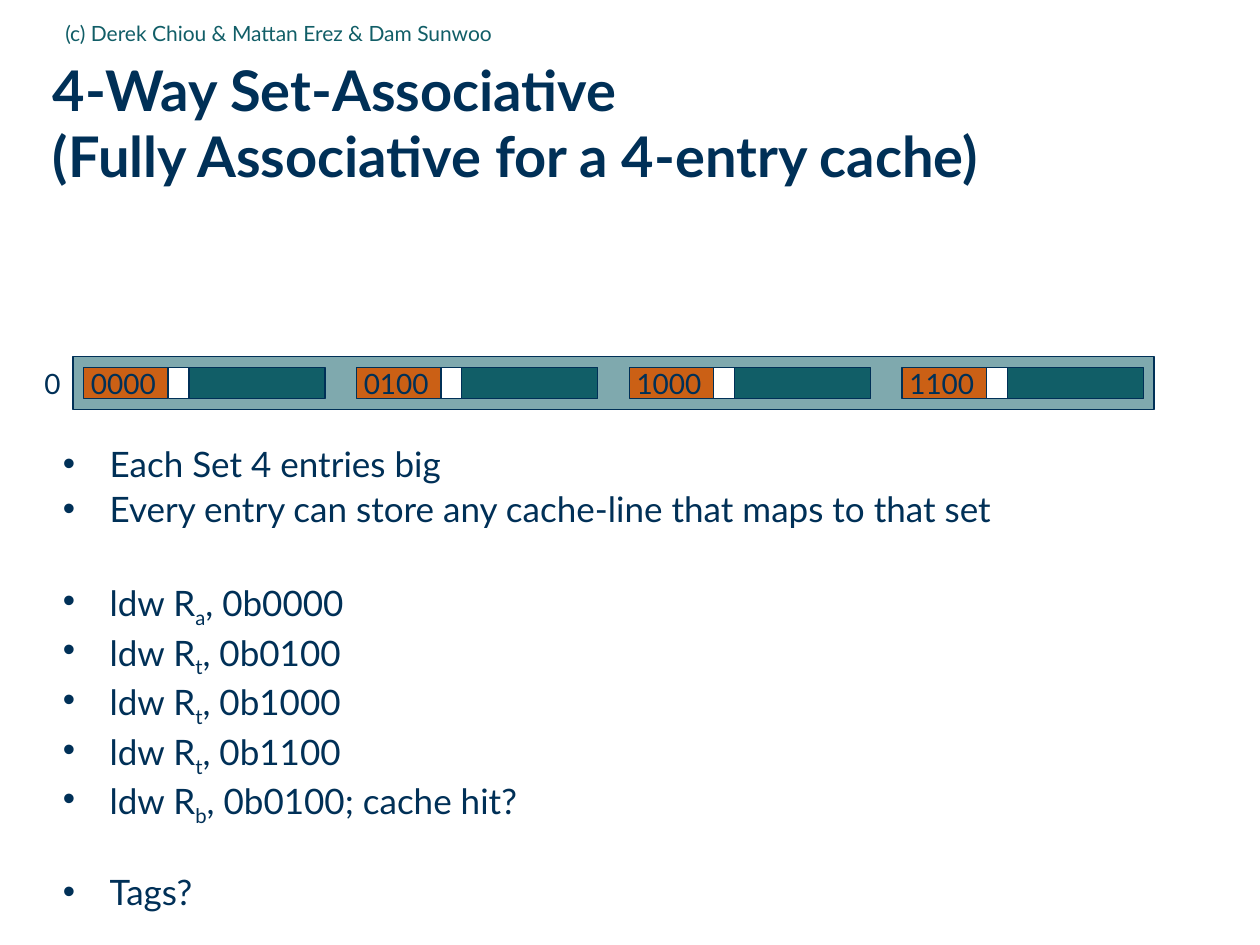
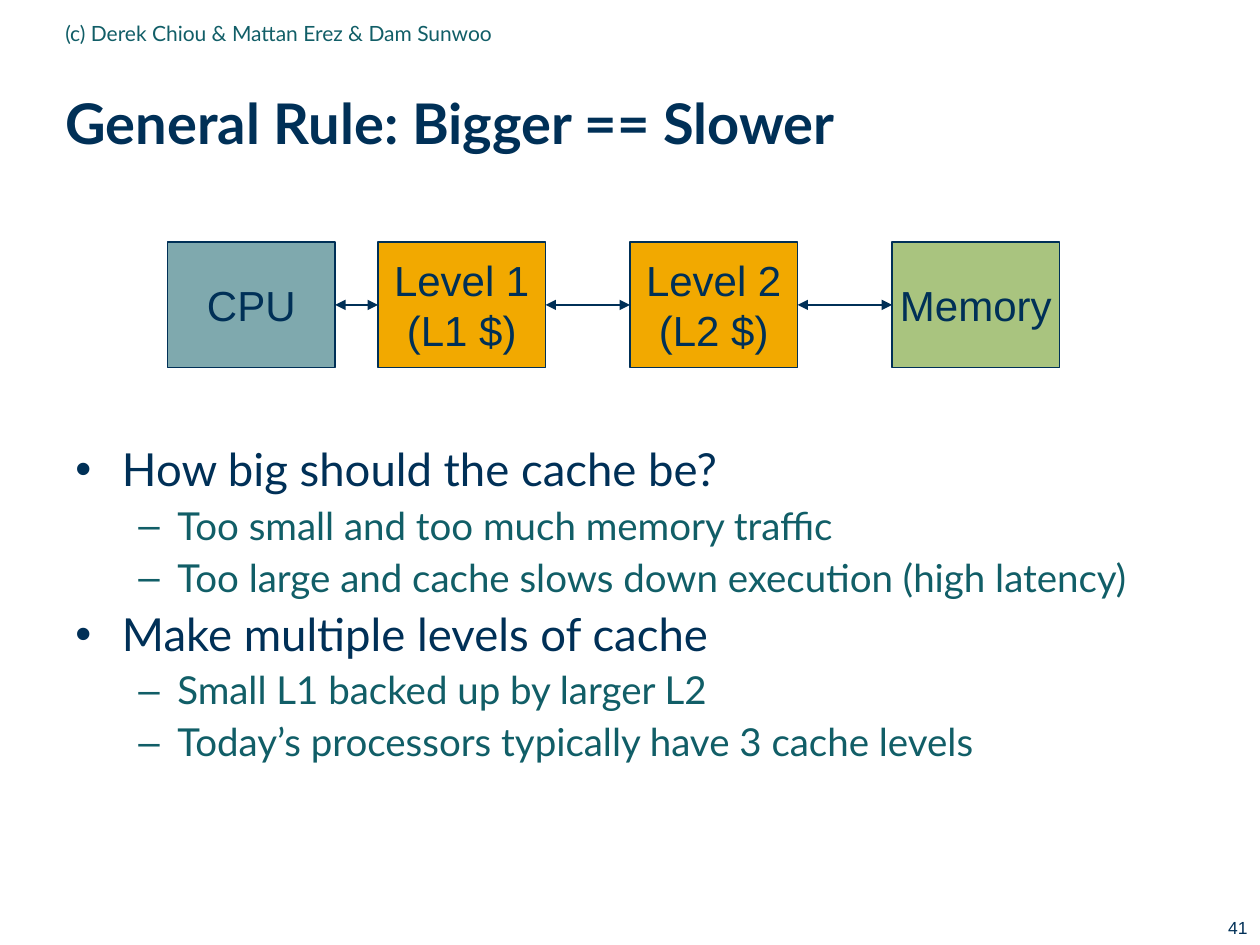
from itertools import pairwise

from lxml import etree
from pptx import Presentation
from pptx.dml.color import RGBColor
from pptx.enum.shapes import MSO_CONNECTOR, MSO_SHAPE
from pptx.enum.text import MSO_ANCHOR, MSO_AUTO_SIZE, PP_ALIGN
from pptx.oxml.ns import qn
from pptx.util import Inches, Pt

LEFT, CENTER, RIGHT = PP_ALIGN.LEFT, PP_ALIGN.CENTER, PP_ALIGN.RIGHT
TOP, MIDDLE = MSO_ANCHOR.TOP, MSO_ANCHOR.MIDDLE
RECTANGLE, STRAIGHT = MSO_SHAPE.RECTANGLE, MSO_CONNECTOR.STRAIGHT
TITLE_ONLY = 5

# Shared look
NAVY, TEAL, MIST, WHITE = "003057", "115E67", "7FA9AE", "FFFFFF"
ORANGE, GOLD, GREEN = "CB6015", "F2A900", "A9C47F"
HEAD_FONT, PLAIN_FONT = "Lato", "Arial"
LINE_WIDTH = Pt(0.75)
TITLE_BOX = (0.42, 0.5, 9.41, 0.98)
CREDIT_BOX = (0.42, 0.03, 5.67, 0.46)
NUMBER_BOX = (7.67, 7.23, 2.33, 0.27)
CREDIT = "(c) Derek Chiou & Mattan Erez & Dam Sunwoo"

# Bullet levels: mark, colour, text indent, hanging indent, space before
LEVELS = [("•", NAVY, 0.37, 0.37, 6.5), ("–", TEAL, 0.81, 0.31, 6)]


def color(hex_value):
    return RGBColor.from_string(hex_value)


def inches(box):
    return [Inches(length) for length in box]


def style_runs(para, size, font, hex_value, bold=False):
    for span in para.runs:
        span.font.size = Pt(size)
        span.font.name = font
        span.font.bold = bold
        span.font.color.rgb = color(hex_value)


def write(frame, text, size, font, hex_value, align=LEFT, anchor=MIDDLE, wrap=True):
    frame.text = text
    frame.word_wrap = wrap
    frame.vertical_anchor = anchor
    for para in frame.paragraphs:
        para.alignment = align
        style_runs(para, size, font, hex_value)


def add_text(page, box, *args, **options):
    frame = page.shapes.add_textbox(*inches(box)).text_frame
    write(frame, *args, **options)


def add_box(page, box, fill):
    shape = page.shapes.add_shape(RECTANGLE, *inches(box))
    shape.shadow.inherit = False
    shape.fill.solid()
    shape.fill.fore_color.rgb = color(fill)
    shape.line.color.rgb = color(NAVY)
    shape.line.width = LINE_WIDTH
    return shape


def add_double_arrow(page, left, right, y):
    arrow = page.shapes.add_connector(STRAIGHT, *inches((left, y, right, y)))
    arrow.line.color.rgb = color(NAVY)
    arrow.line.width = LINE_WIDTH
    line = arrow.line._get_or_add_ln()
    for end in ("a:headEnd", "a:tailEnd"):
        etree.SubElement(line, qn(end), type="triangle")
    etree.SubElement(arrow._element.spPr, qn("a:effectLst"))


def set_insets(frame, side, vertical):
    frame.margin_left = frame.margin_right = Inches(side)
    frame.margin_top = frame.margin_bottom = Inches(vertical)


def add_page(deck, title, insets):
    """Page with title and credit line."""
    page = deck.slides.add_slide(deck.slide_layouts[TITLE_ONLY])
    holder = page.shapes.title
    holder.left, holder.top, holder.width, holder.height = inches(TITLE_BOX)
    frame = holder.text_frame
    write(frame, title, 32, HEAD_FONT, NAVY)
    frame.auto_size = MSO_AUTO_SIZE.NONE
    set_insets(frame, *insets)
    for para in frame.paragraphs:
        para.line_spacing = 0.99
        style_runs(para, 32, HEAD_FONT, NAVY, bold=True)
    add_text(page, CREDIT_BOX, CREDIT, 12, HEAD_FONT, TEAL)
    return page


def add_bullets(page, box, items, sizes, spacing, insets):
    """Each item is (level, extra space before, text); "_" lowers the next letter."""
    frame = page.shapes.add_textbox(*inches(box)).text_frame
    frame.word_wrap = True
    frame.vertical_anchor = TOP
    set_insets(frame, *insets)
    for index, (level, gap, text) in enumerate(items):
        para = frame.paragraphs[0] if index == 0 else frame.add_paragraph()
        mark, hex_value, indent, hanging, before = LEVELS[level]
        base, _, rest = text.partition("_")
        for part in filter(None, (base, rest[:1], rest[1:])):
            para.add_run().text = part
        if rest:
            para.runs[1].font._element.set("baseline", "-25000")
        style_runs(para, sizes[level], HEAD_FONT, hex_value)
        para.level = level
        para.line_spacing = spacing
        para.space_before = Pt(before + gap)
        props = para._p.get_or_add_pPr()
        props.set("marL", str(Inches(indent)))
        props.set("indent", str(-Inches(hanging)))
        mark_color = etree.SubElement(props, qn("a:buClr"))
        etree.SubElement(mark_color, qn("a:srgbClr"), val=hex_value)
        etree.SubElement(props, qn("a:buFont"), typeface=PLAIN_FONT)
        etree.SubElement(props, qn("a:buChar"), char=mark)


def add_cache_set(page, box, index, tags):
    """One set: a frame with tag, valid bit and data for every way."""
    left, top, width, height = box
    pad, tag_width, bit_width, data_width = 0.085, 0.67, 0.165, 1.08
    add_box(page, box, MIST)
    add_text(page, (left - 0.42, top, 0.42, height), index, 16, HEAD_FONT, NAVY,
             align=RIGHT, wrap=False)
    way_width = tag_width + bit_width + data_width
    pitch = (width - 2 * pad - way_width) / (len(tags) - 1)
    for way, tag in enumerate(tags):
        x, y, cell_height = left + pad + way * pitch, top + pad, height - 2 * pad
        tag_cell = add_box(page, (x, y, tag_width, cell_height), ORANGE)
        write(tag_cell.text_frame, tag, 16, HEAD_FONT, NAVY, align=RIGHT, wrap=False)
        add_box(page, (x + tag_width, y, bit_width, cell_height), WHITE)
        add_box(page, (x + tag_width + bit_width, y, data_width, cell_height), TEAL)


def add_memory_chain(page, box, stages):
    """Row of memory stages; each is (offset, label, fill)."""
    left, top, stage_width, height = box
    for (start, *_), (end, *_) in pairwise(stages):
        add_double_arrow(page, left + start + stage_width, left + end, top + height / 2)
    for offset, label, fill in stages:
        stage = add_box(page, (left + offset, top, stage_width, height), fill)
        write(stage.text_frame, label, 24, PLAIN_FONT, NAVY, align=CENTER, wrap=False)


def build_associative_page(deck):
    insets = (0, 0)
    page = add_page(deck, "4-Way Set-Associative \v(Fully Associative for a 4-entry cache)",
                    insets)
    add_cache_set(page, (0.58, 2.83, 8.58, 0.42), "0", ["0000", "0100", "1000", "1100"])
    group_gap = 25.7
    items = [
        (0, 0, "Each Set 4 entries big"),
        (0, 0, "Every entry can store any cache-line that maps to that set"),
        (0, group_gap, "ldw R_a, 0b0000"),
        (0, 0, "ldw R_t, 0b0100"),
        (0, 0, "ldw R_t, 0b1000"),
        (0, 0, "ldw R_t, 0b1100"),
        (0, 0, "ldw R_b, 0b0100; cache hit?"),
        (0, group_gap, "Tags?"),
    ]
    add_bullets(page, (0.5, 3.58, 9.33, 3.48), items, [20], 0.8, insets)


def build_hierarchy_page(deck):
    insets = (0.1, 0.05)
    page = add_page(deck, "General Rule: Bigger == Slower", insets)
    stages = [
        (0, "CPU", MIST),
        (1.67, "Level 1\n(L1 $)", GOLD),
        (3.67, "Level 2\n(L2 $)", GOLD),
        (5.75, "Memory", GREEN),
    ]
    add_memory_chain(page, (1.33, 1.92, 1.33, 1), stages)
    items = [
        (0, 0, "How big should the cache be?"),
        (1, 0, "Too small and too much memory traffic"),
        (1, 0, "Too large and cache slows down execution (high latency)"),
        (0, 0, "Make multiple levels of cache"),
        (1, 0, "Small L1 backed up by larger L2"),
        (1, 0, "Today’s processors typically have 3 cache levels"),
    ]
    add_bullets(page, (0.5, 3.5, 9.33, 3.98), items, [26, 22], 0.9, insets)
    add_text(page, NUMBER_BOX, "41", 10, PLAIN_FONT, NAVY, align=RIGHT, anchor=TOP)


def main():
    deck = Presentation()
    deck.slide_width, deck.slide_height = Inches(10), Inches(7.5)
    build_associative_page(deck)
    build_hierarchy_page(deck)
    deck.save("out.pptx")


if __name__ == "__main__":
    main()
